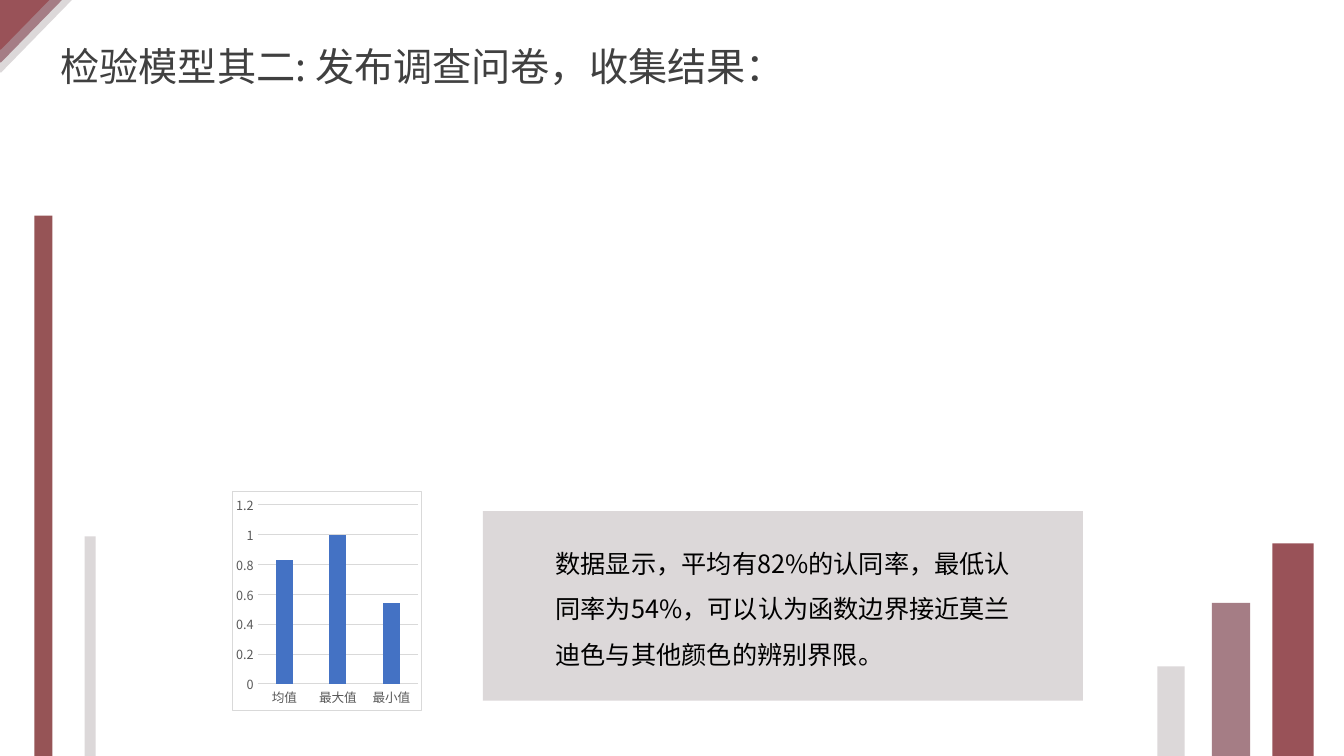
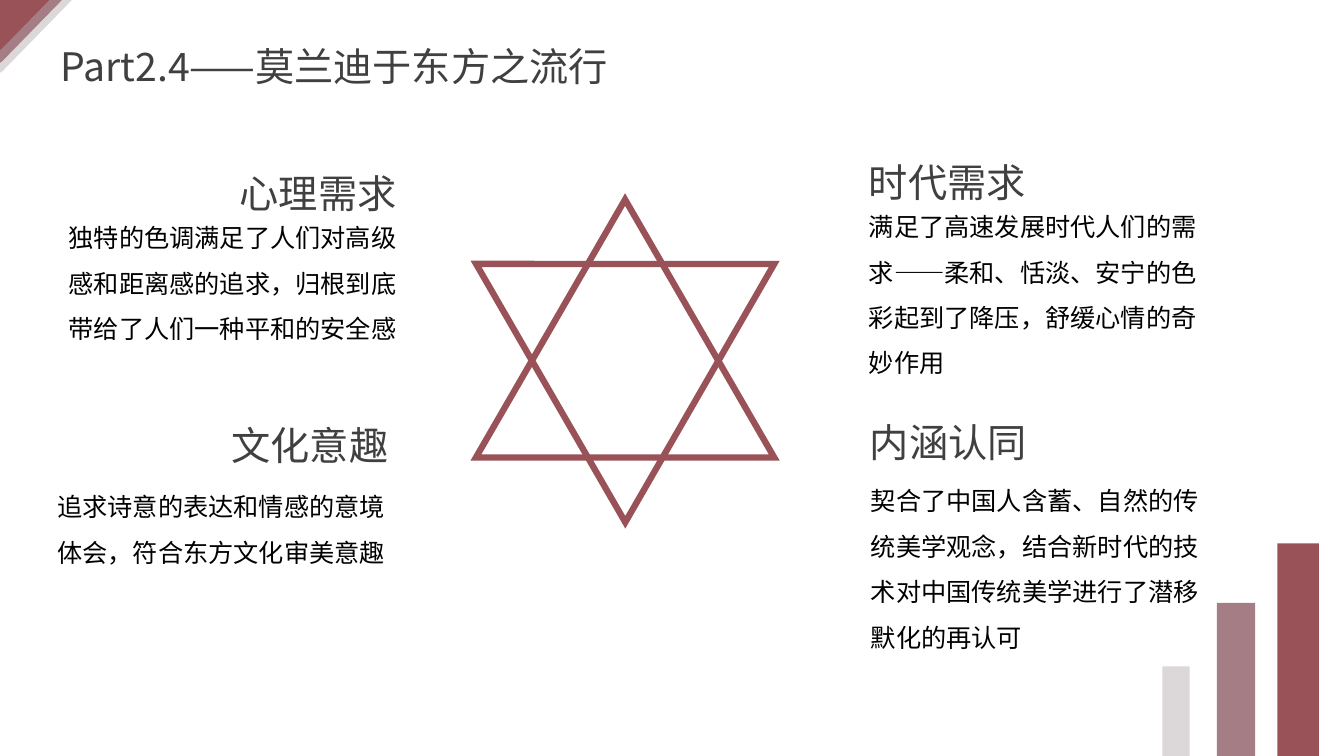
from dataclasses import dataclass

from lxml import etree
from pptx import Presentation
from pptx.chart.chart import Chart
from pptx.chart.data import CategoryChartData
from pptx.dml.color import RGBColor
from pptx.enum.chart import XL_CHART_TYPE, XL_TICK_MARK
from pptx.enum.shapes import MSO_SHAPE
from pptx.enum.text import MSO_ANCHOR, MSO_AUTO_SIZE, PP_ALIGN
from pptx.oxml import parse_xml
from pptx.oxml.ns import nsdecls, qn
from pptx.shapes.autoshape import Shape
from pptx.slide import Slide
from pptx.text.text import Font, TextFrame
from pptx.util import Inches, Pt

RECT, TRI = MSO_SHAPE.RECTANGLE, MSO_SHAPE.ISOSCELES_TRIANGLE
LEFT, RIGHT = PP_ALIGN.LEFT, PP_ALIGN.RIGHT
TOP, FIXED = MSO_ANCHOR.TOP, MSO_AUTO_SIZE.NONE
COLUMN, NO_TICK = XL_CHART_TYPE.COLUMN_CLUSTERED, XL_TICK_MARK.NONE

RED = RGBColor(0x99, 0x52, 0x58)
BRICK = RGBColor(0x96, 0x54, 0x56)
MAUVE = RGBColor(0xA5, 0x7D, 0x85)
PALE = RGBColor(0xDC, 0xD8, 0xD9)
BLUE = RGBColor(0x44, 0x72, 0xC4)
BLACK = RGBColor(0, 0, 0)
DARK = RGBColor(0x40, 0x40, 0x40)
GREY = RGBColor(0x59, 0x59, 0x59)
GRID = RGBColor(0xD9, 0xD9, 0xD9)

FACE = "Noto Sans CJK SC"
WIDE, HIGH = 13.33, 7.5
TITLE_ONLY = 5


@dataclass
class Bar:
    left: float
    top: float
    width: float
    color: RGBColor


@dataclass
class Topic:
    left: float
    top: float
    head: str
    body_left: float
    body_top: float
    body: str
    head_align: PP_ALIGN = LEFT
    body_align: PP_ALIGN = LEFT


RIGHT_BARS = [
    Bar(12.62, 5.39, 0.41, RED),
    Bar(12.02, 5.98, 0.38, MAUVE),
    Bar(11.48, 6.61, 0.27, PALE),
]
LEFT_BARS = [Bar(0.34, 2.14, 0.18, BRICK), Bar(0.84, 5.32, 0.11, PALE)]
CORNER = [(1.02, PALE), (0.88, MAUVE), (0.7, RED)]

TOPICS = [
    Topic(0.56, 1.4, "心理需求", 0.56, 2.01,
          "独特的色调满足了人们对高级感和距离感的追求，归根到底带给了人们一种平和的安全感",
          RIGHT, RIGHT),
    Topic(0.48, 3.9, "文化意趣", 0.47, 4.68,
          "追求诗意的表达和情感的意境体会，符合东方文化审美意趣", RIGHT),
    Topic(8.52, 1.29, "时代需求", 8.52, 1.9,
          "满足了高速发展时代人们的需求——柔和、恬淡、安宁的色彩起到了降压，舒缓心情的奇妙作用"),
    Topic(8.53, 3.87, "内涵认同", 8.54, 4.62,
          "契合了中国人含蓄、自然的传统美学观念，结合新时代的技术对中国传统美学进行了潜移默化的再认可"),
]


# Text
def set_font(font: Font, size: float, color: RGBColor) -> None:
    font.size, font.name, font.bold = Pt(size), FACE, False
    font.color.rgb = color
    latin = font._element.find(qn("a:latin"))
    latin.addnext(parse_xml(f'<a:ea {nsdecls("a")} typeface="{FACE}"/>'))


def write(frame: TextFrame, text: str, size: float, color: RGBColor,
          align: PP_ALIGN = LEFT) -> None:
    frame.word_wrap, frame.auto_size = True, FIXED
    frame.vertical_anchor = TOP
    para = frame.paragraphs[0]
    para.text, para.alignment, para.line_spacing = text, align, 1.5
    set_font(para.font, size, color)


def add_text(slide: Slide, left: float, top: float, height: float, text: str,
             size: float, color: RGBColor, align: PP_ALIGN) -> None:
    box = slide.shapes.add_textbox(
        Inches(left), Inches(top), Inches(3.47), Inches(height))
    write(box.text_frame, text, size, color, align)


# Shapes
def add_rect(slide: Slide, left: float, top: float, width: float,
             height: float, color: RGBColor) -> Shape:
    rect = slide.shapes.add_shape(
        RECT, Inches(left), Inches(top), Inches(width), Inches(height))
    rect.shadow.inherit = False
    rect.fill.solid()
    rect.fill.fore_color.rgb = color
    rect.line.fill.background()
    return rect


def add_bars(slide: Slide, bars: list[Bar], shift: float = 0) -> None:
    for bar in bars:
        add_rect(slide, bar.left + shift, bar.top, bar.width,
                 HIGH - bar.top, bar.color)


def add_star(slide: Slide) -> None:
    for left, turn in ((4.72, 0), (5.09, 60)):
        tri = slide.shapes.add_shape(
            TRI, Inches(left), Inches(1.98), Inches(2.96), Inches(2.56))
        tri.rotation = turn
        tri.shadow.inherit = False
        tri.fill.background()
        tri.line.color.rgb, tri.line.width = RED, Pt(4.5)
        edge = tri.line._get_or_add_ln()
        etree.SubElement(edge, qn("a:miter")).set("lim", "800000")


# Parts shared by both slides
def add_slide(deck: Presentation, title: str, shift: float = 0) -> Slide:
    slide = deck.slides.add_slide(deck.slide_layouts[TITLE_ONLY])
    head = slide.shapes.title
    head.left, head.top = Inches(0.5), Inches(0.14)
    head.width, head.height = Inches(9), Inches(0.72)
    write(head.text_frame, title, 28, DARK)
    add_bars(slide, RIGHT_BARS, shift)
    for size, color in CORNER:
        add_rect(slide, -size / 2, -size / 2, size, size, color).rotation = 44.3
    return slide


# Survey chart
def frame_chart(chart: Chart) -> None:
    area = parse_xml(
        f'<c:spPr {nsdecls("c", "a")}>'
        '<a:solidFill><a:srgbClr val="FFFFFF"/></a:solidFill>'
        f'<a:ln w="{Pt(0.75)}"><a:solidFill><a:srgbClr val="{GRID}"/>'
        '</a:solidFill></a:ln></c:spPr>')
    chart._chartSpace.find(qn("c:chart")).addnext(area)


def add_chart(slide: Slide) -> None:
    data = CategoryChartData()
    data.categories = ["均值", "最大值", "最小值"]
    data.add_series("Series 1", (0.83, 1, 0.54))
    chart = slide.shapes.add_chart(
        COLUMN, Inches(2.3), Inches(4.87), Inches(1.89), Inches(2.18),
        data).chart
    chart.has_title = chart.has_legend = False
    set_font(chart.font, 10, BLACK)
    frame_chart(chart)

    plot = chart.plots[0]
    plot.vary_by_categories = False
    plot.gap_width, plot.overlap = 219, -27
    fill = plot.series[0].format.fill
    fill.solid()
    fill.fore_color.rgb = BLUE

    base, scale = chart.category_axis, chart.value_axis
    for axis in (base, scale):
        axis.major_tick_mark = axis.minor_tick_mark = NO_TICK
        set_font(axis.tick_labels.font, 9, GREY)
    scale.minimum_scale, scale.maximum_scale, scale.major_unit = 0, 1.2, 0.2
    scale.format.line.fill.background()
    for line in (base.format.line, scale.major_gridlines.format.line):
        line.color.rgb, line.width = GRID, Pt(0.75)


def build_survey(deck: Presentation) -> None:
    slide = add_slide(deck, "检验模型其二: 发布调查问卷，收集结果：")
    add_bars(slide, LEFT_BARS)
    add_chart(slide)
    note = add_rect(slide, 4.79, 5.07, 5.95, 1.88, PALE)
    frame = note.text_frame
    frame.margin_left, frame.margin_right = Inches(0.72), Inches(0.51)
    frame.margin_top = Inches(0.22)
    write(frame, "数据显示，平均有82%的认同率，最低认同率为54%，"
          "可以认为函数边界接近莫兰迪色与其他颜色的辨别界限。", 18, BLACK)


def build_trend(deck: Presentation) -> None:
    slide = add_slide(deck, "Part2.4——莫兰迪于东方之流行", 0.05)
    add_star(slide)
    for item in TOPICS:
        add_text(slide, item.left, item.top, 0.72, item.head,
                 28, DARK, item.head_align)
        add_text(slide, item.body_left, item.body_top, 1.9, item.body,
                 18, BLACK, item.body_align)


def main() -> None:
    deck = Presentation()
    deck.slide_width, deck.slide_height = Inches(WIDE), Inches(HIGH)
    build_survey(deck)
    build_trend(deck)
    deck.save("out.pptx")


if __name__ == "__main__":
    main()
